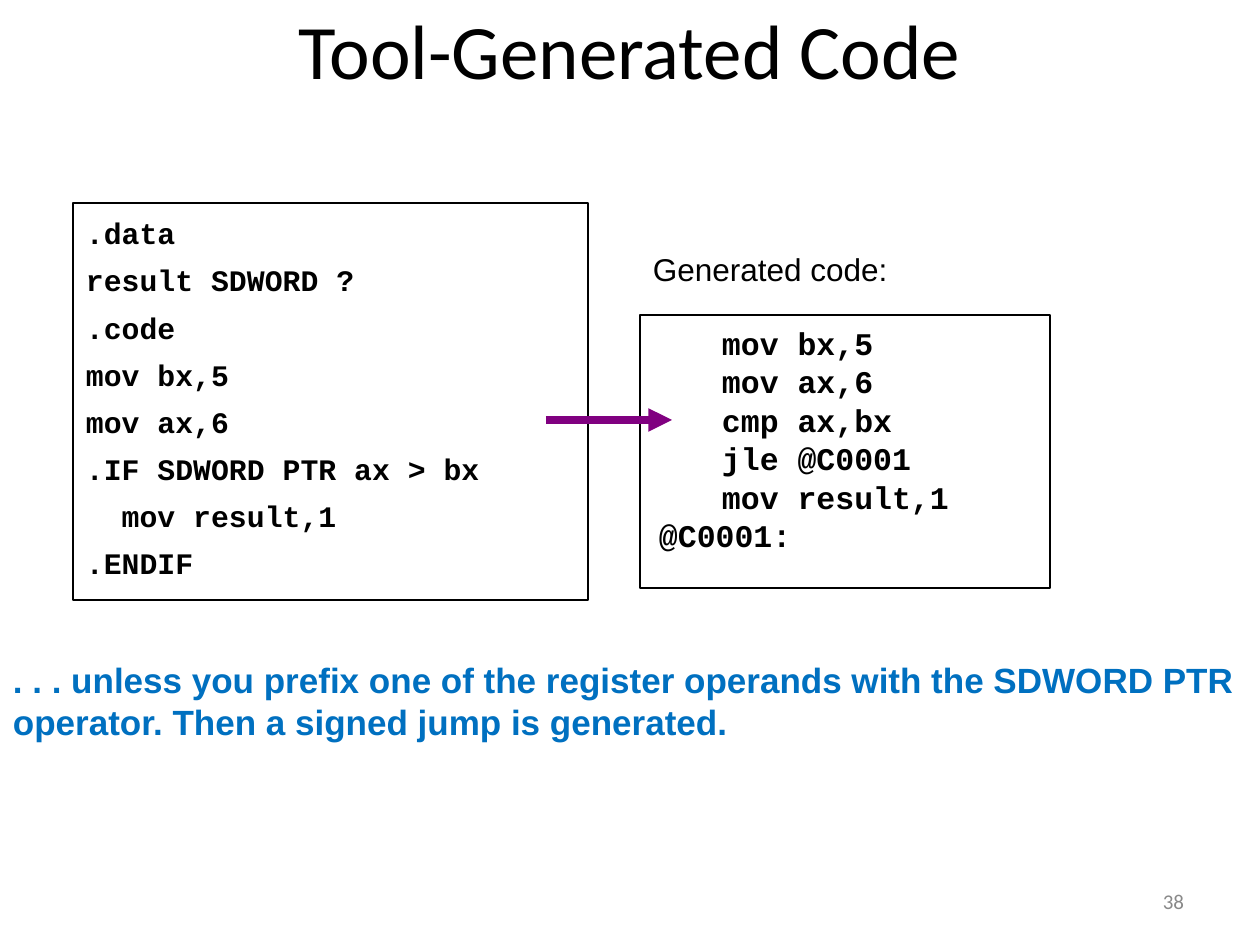
from lxml import etree
from pptx import Presentation
from pptx.dml.color import RGBColor
from pptx.enum.shapes import MSO_CONNECTOR, MSO_SHAPE
from pptx.enum.text import MSO_ANCHOR, PP_ALIGN
from pptx.oxml.ns import qn
from pptx.util import Pt

LEFT, CENTER, RIGHT = PP_ALIGN.LEFT, PP_ALIGN.CENTER, PP_ALIGN.RIGHT
TOP, MIDDLE = MSO_ANCHOR.TOP, MSO_ANCHOR.MIDDLE
RECTANGLE = MSO_SHAPE.RECTANGLE
STRAIGHT = MSO_CONNECTOR.STRAIGHT
PX = 914400 // 126
TAB_STOP = 63 * PX


def color(value):
    return RGBColor.from_string(value)


def write(box, lines, font, size, ink="000000", bold=False, align=LEFT,
          anchor=TOP, inset=(13, 19), spacing=None):
    """Fill the box with one paragraph per line; inset is (sides, top and bottom) in px."""
    frame = box.text_frame
    side, end = (length * PX for length in inset)
    frame_format = {"word_wrap": True, "vertical_anchor": anchor,
                    "margin_left": side, "margin_right": side,
                    "margin_top": end, "margin_bottom": end}
    for name, value in frame_format.items():
        setattr(frame, name, value)
    for index, line in enumerate(lines):
        para = frame.paragraphs[0] if index == 0 else frame.add_paragraph()
        para.alignment = align
        for name, value in (spacing or {}).items():
            setattr(para, name, value)
        if line.startswith("\t"):
            tabs = etree.SubElement(para._p.get_or_add_pPr(), qn("a:tabLst"))
            etree.SubElement(tabs, qn("a:tab"), pos=str(TAB_STOP), algn="l")
        span = para.add_run()
        span.text = line
        for name, value in {"name": font, "size": Pt(size), "bold": bold}.items():
            setattr(span.font, name, value)
        span.font.color.rgb = color(ink)


deck = Presentation()
deck.slide_width, deck.slide_height = 1260 * PX, 945 * PX
page = deck.slides.add_slide(deck.slide_layouts[5])

title = page.shapes.title
place = {"left": 63, "top": 0, "width": 1134, "height": 98}
for name, value in place.items():
    setattr(title, name, value * PX)
write(title, ["Tool-Generated Code"], "Calibri", 44,
      align=CENTER, anchor=MIDDLE, inset=(13, 6))

generated = ["\tmov bx,5", "\tmov ax,6", "\tcmp ax,bx", "\tjle @C0001",
             "\tmov result,1", "@C0001:"]
source = [".data", "result SDWORD ?", ".code", "mov bx,5", "mov ax,6",
          ".IF SDWORD PTR ax > bx", "  mov result,1", ".ENDIF"]
code_boxes = [
    ((640, 315, 410, 273), generated, 18, (19, 25),
     {"line_spacing": 0.5, "space_before": Pt(11.2)}),
    ((73, 203, 515, 397), source, 17, (13, 19),
     {"line_spacing": 0.8, "space_before": Pt(10.6)}),
]
for area, lines, size, inset, spacing in code_boxes:
    box = page.shapes.add_shape(RECTANGLE, *(length * PX for length in area))
    box.shadow.inherit = False
    box.fill.background()
    box.line.color.rgb = color("000000")
    box.line.width = Pt(0.75)
    write(box, lines, "Courier New", size, bold=True, inset=inset, spacing=spacing)

arrow = page.shapes.add_connector(STRAIGHT, 546 * PX, 420 * PX, 672 * PX, 420 * PX)
arrow.line.color.rgb = color("800080")
arrow.line.width = Pt(4.5)
etree.SubElement(arrow.line._get_or_add_ln(), qn("a:tailEnd"), type="triangle")
etree.SubElement(arrow._element.spPr, qn("a:effectLst"))

note = (". . . unless you prefix one of the register operands with the SDWORD PTR "
        "operator. Then a signed jump is generated.")
captions = [
    ((640, 231, 431, 76), "Generated code:",
     {"font": "Arial", "size": 18, "spacing": {"space_before": Pt(11.2)}}),
    ((0, 640, 1260, 122), note,
     {"font": "Arial", "size": 20, "ink": "0070C0", "bold": True,
      "spacing": {"space_before": Pt(12.5)}}),
    ((903, 876, 294, 50), "38",
     {"font": "Calibri", "size": 12, "ink": "898989", "align": RIGHT,
      "anchor": MIDDLE, "inset": (13, 6)}),
]
for area, text, text_format in captions:
    box = page.shapes.add_textbox(*(length * PX for length in area))
    write(box, [text], **text_format)

deck.save("out.pptx")
